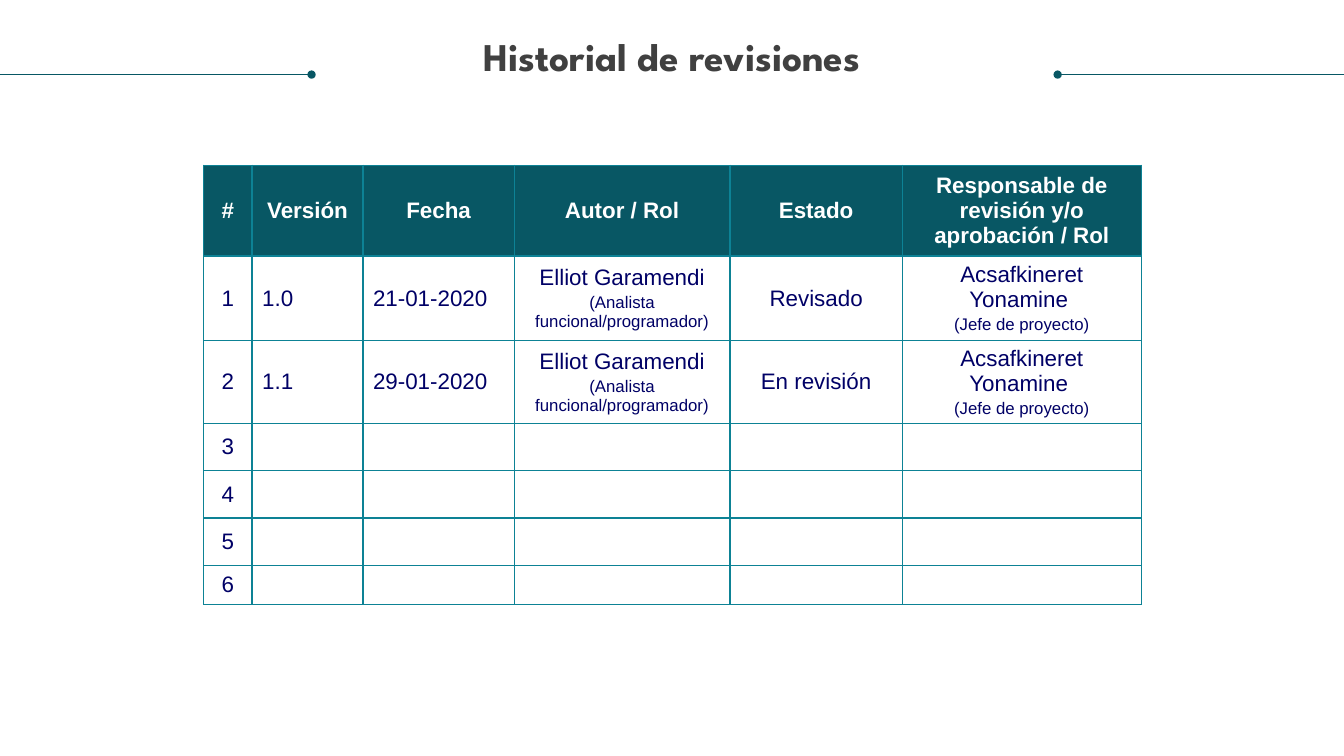
from lxml import etree
from pptx import Presentation
from pptx.dml.color import RGBColor
from pptx.enum.shapes import MSO_CONNECTOR
from pptx.enum.text import MSO_ANCHOR, MSO_AUTO_SIZE, PP_ALIGN
from pptx.oxml.ns import qn
from pptx.util import Inches, Pt

TITLE = "Historial de revisiones"
HEADERS = ["#", "Versión", "Fecha", "Autor / Rol", "Estado",
           "Responsable de revisión y/o aprobación / Rol"]
AUTHOR = ["Elliot Garamendi", "(Analista funcional/programador)"]
APPROVER = ["Acsafkineret Yonamine ", "(Jefe de proyecto)"]
REVISIONS = [
    ["1.0", "21-01-2020", AUTHOR, "Revisado", APPROVER],
    ["1.1", "29-01-2020", AUTHOR, "En revisión", APPROVER],
]
REVISION_ROWS = 6
COLUMN_WIDTHS = [0.48, 1.1, 1.5, 2.14, 1.71, 2.37]
ROW_HEIGHTS = [0.9, 0.84, 0.82, 0.47, 0.47, 0.47, 0.39]
LEFT_ALIGNED = {"Versión", "Fecha"}
# Each rule runs from the slide edge to its dotted end.
RULES = [(0, 3.09), (13.33, 10.49)]
RULE_Y = 0.74

TEAL = RGBColor(0x08, 0x57, 0x64)
BORDER = RGBColor(0x0D, 0x82, 0x95)
NAVY = RGBColor(0x00, 0x00, 0x66)
GREY = RGBColor(0x40, 0x40, 0x40)
WHITE = RGBColor(0xFF, 0xFF, 0xFF)
CENTER, LEFT = PP_ALIGN.CENTER, PP_ALIGN.LEFT
MIDDLE, TOP = MSO_ANCHOR.MIDDLE, MSO_ANCHOR.TOP
STRAIGHT = MSO_CONNECTOR.STRAIGHT


def add_title(slide):
    title = slide.shapes.title
    title.left, title.top = Inches(0.25), Inches(0.37)
    title.width, title.height = Inches(12.83), Inches(0.42)
    frame = title.text_frame
    frame.margin_left = frame.margin_right = frame.margin_top = frame.margin_bottom = 0
    frame.vertical_anchor = TOP
    frame.word_wrap = True
    frame.auto_size = MSO_AUTO_SIZE.NONE
    frame.text = TITLE
    heading = frame.paragraphs[0]
    heading.alignment = CENTER
    heading.line_spacing = 0.9
    style_font(heading.font, 28, GREY, True, "League Spartan")


def style_font(font, size, color, bold=False, name="Arial"):
    font.name, font.size, font.bold = name, Pt(size), bold
    font.color.rgb = color


def add_rule(slide, edge, dot):
    rule = slide.shapes.add_connector(
        STRAIGHT, Inches(edge), Inches(RULE_Y), Inches(dot), Inches(RULE_Y))
    rule.line.color.rgb = TEAL
    rule.line.width = Pt(0.5)
    etree.SubElement(rule.line._get_or_add_ln(), qn("a:tailEnd"), type="oval")
    etree.SubElement(rule._element.spPr, qn("a:effectLst"))


def add_borders(cell):
    properties = cell._tc.get_or_add_tcPr()
    for side in ("a:lnL", "a:lnR", "a:lnT", "a:lnB"):
        line = etree.SubElement(properties, qn(side), w=str(Pt(1)))
        fill = etree.SubElement(line, qn("a:solidFill"))
        etree.SubElement(fill, qn("a:srgbClr"), val=str(BORDER))


def fill_cell(cell, content, is_header, alignment):
    """Write a cell; a list holds a name and a smaller role line."""
    lines = content if isinstance(content, list) else [content]
    add_borders(cell)
    if is_header:
        cell.fill.solid()
        cell.fill.fore_color.rgb = TEAL
    else:
        cell.fill.background()
    cell.vertical_anchor = MIDDLE
    cell.text = "\n".join(lines)
    for index, paragraph in enumerate(cell.text_frame.paragraphs):
        paragraph.alignment = alignment
        if index:
            paragraph.space_before = Pt(2.4)
        style_font(paragraph.font, 12 if index else 16,
                   WHITE if is_header else NAVY, is_header)


def add_revision_table(slide):
    rows = [HEADERS]
    for number in range(1, REVISION_ROWS + 1):
        known = number <= len(REVISIONS)
        details = REVISIONS[number - 1] if known else [""] * (len(HEADERS) - 1)
        rows.append([str(number)] + details)

    table = slide.shapes.add_table(
        len(rows), len(HEADERS), Inches(2.02), Inches(1.64),
        Inches(sum(COLUMN_WIDTHS)), Inches(sum(ROW_HEIGHTS))).table
    table.horz_banding = False
    for column, width in zip(table.columns, COLUMN_WIDTHS):
        column.width = Inches(width)
    for row, height in zip(table.rows, ROW_HEIGHTS):
        row.height = Inches(height)
    for r, contents in enumerate(rows):
        for c, content in enumerate(contents):
            is_left = r > 0 and HEADERS[c] in LEFT_ALIGNED
            fill_cell(table.cell(r, c), content, r == 0, LEFT if is_left else CENTER)


def main():
    deck = Presentation()
    deck.slide_width, deck.slide_height = Inches(13.33), Inches(7.5)
    slide = deck.slides.add_slide(deck.slide_layouts[5])
    add_revision_table(slide)
    add_title(slide)
    for edge, dot in RULES:
        add_rule(slide, edge, dot)
    deck.save("out.pptx")


if __name__ == "__main__":
    main()
